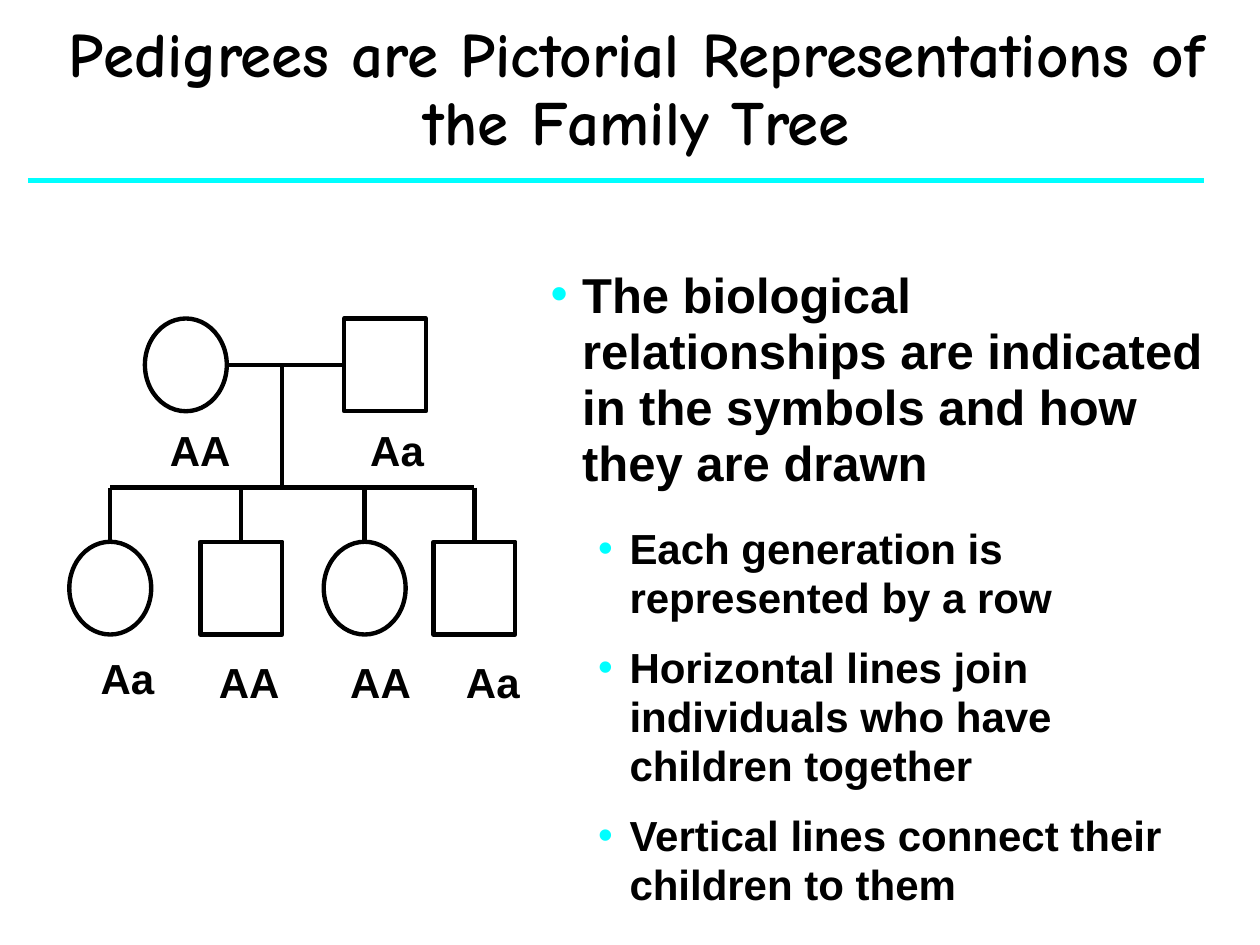
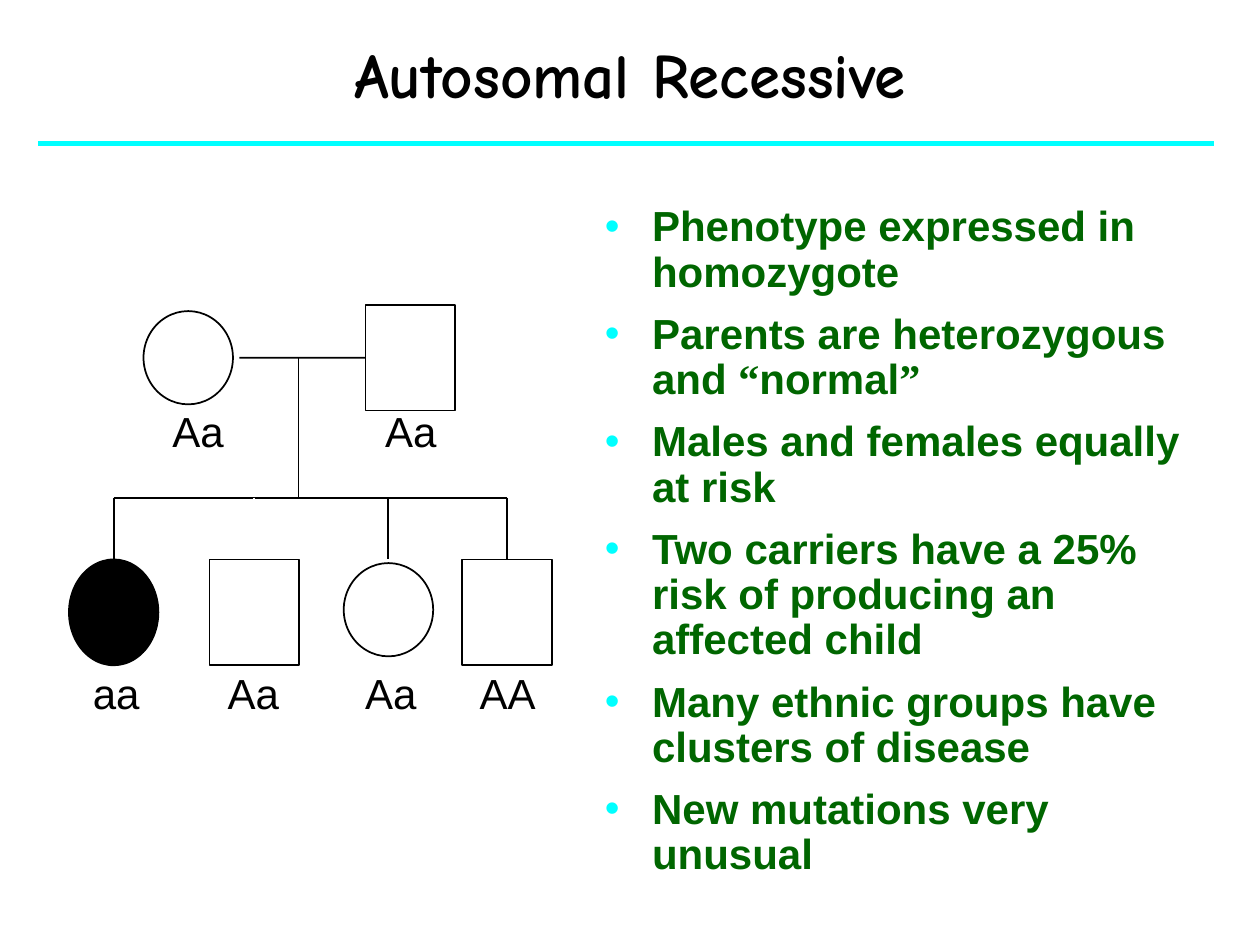
from dataclasses import dataclass

from lxml import etree
from pptx import Presentation
from pptx.dml.color import RGBColor
from pptx.enum.shapes import MSO_CONNECTOR, MSO_SHAPE
from pptx.enum.text import MSO_ANCHOR, MSO_AUTO_SIZE, PP_ALIGN
from pptx.oxml.ns import qn
from pptx.util import Pt

OVAL, BOX = MSO_SHAPE.OVAL, MSO_SHAPE.RECTANGLE
STRAIGHT = MSO_CONNECTOR.STRAIGHT
TOP, MIDDLE = MSO_ANCHOR.TOP, MSO_ANCHOR.MIDDLE
CENTER, LEFT = PP_ALIGN.CENTER, PP_ALIGN.LEFT
FIXED = MSO_AUTO_SIZE.NONE
TOP_SITE, LEFT_SITE = 0, 1


@dataclass(frozen=True)
class Theme:
    ink: str = "000000"
    paper: str = "FFFFFF"
    accent: str = "00FFFF"
    green: str = "006600"
    head_font: str = "Comic Neue"
    font: str = "Arial"
    quote_font: str = "Times New Roman"
    head: int = 36
    lead: int = 28
    text: int = 24
    rule: int = 3


@dataclass
class Person:
    kind: int
    x: float
    y: float
    gene: str
    tag_x: float
    tag_y: float
    tag_w: float
    h: float
    fill: str = ""
    drop: str = "000000"


@dataclass
class Family:
    """Parents, children and the lines between them."""
    pair: list
    kids: list
    width: float
    line: float
    bold: bool
    mate_x: float
    mate_y: float
    stem_x: float
    bar_y: float
    kid_y: float


T = Theme()


def color(code):
    return RGBColor.from_string(code)


def add_run(para, text, size, ink=T.ink, font=T.font, bold=True):
    run = para.add_run()
    run.text = text
    run.font.name = font
    run.font.size = Pt(size)
    run.font.bold = bold
    run.font.color.rgb = color(ink)


def place(shape, x, y, w, h):
    shape.left, shape.top, shape.width, shape.height = map(Pt, (x, y, w, h))


def add_title(slide, text, area, anchor, spacing):
    title = slide.shapes.title
    place(title, *area)
    frame = title.text_frame
    frame.auto_size = FIXED
    frame.vertical_anchor = anchor
    para = frame.paragraphs[0]
    para.alignment = CENTER
    para.line_spacing = spacing
    add_run(para, text, T.head, font=T.head_font)


def add_line(slide, x1, y1, x2, y2, width, ink=T.ink):
    line = slide.shapes.add_connector(STRAIGHT, *map(Pt, (x1, y1, x2, y2)))
    line.line.color.rgb = color(ink)
    line.line.width = Pt(width)
    etree.SubElement(line._element.spPr, qn("a:effectLst"))
    return line


def add_rule(slide, x, y):
    add_line(slide, x, y, x + 672, y, T.rule, T.accent)


def set_bullet(para, margin, hang):
    props = para._p.get_or_add_pPr()
    props.set("marL", str(Pt(margin)))
    props.set("indent", str(-Pt(hang)))
    tint = etree.SubElement(props, qn("a:buClr"))
    etree.SubElement(tint, qn("a:srgbClr"), val=T.accent)
    etree.SubElement(props, qn("a:buFont"), typeface=T.font)
    etree.SubElement(props, qn("a:buChar"), char="•")


def get_body(slide, area):
    body = slide.placeholders[1]
    place(body, *area)
    frame = body.text_frame
    frame.auto_size = FIXED
    frame.vertical_anchor = TOP
    return frame


def add_item(frame, first, margin, hang, spacing, before, after, level=0):
    para = frame.paragraphs[0] if first else frame.add_paragraph()
    para.level = level
    set_bullet(para, margin, hang)
    para.alignment = LEFT
    para.line_spacing = spacing
    para.space_before = Pt(0 if first else before)
    para.space_after = Pt(after)
    return para


def add_person(slide, one, family):
    shape = slide.shapes.add_shape(
        one.kind, *map(Pt, (one.x, one.y, family.width, one.h)))
    shape.shadow.inherit = False
    if one.fill:
        shape.fill.solid()
        shape.fill.fore_color.rgb = color(one.fill)
    else:
        shape.fill.background()
    shape.line.color.rgb = color(T.ink)
    shape.line.width = Pt(family.line)
    return shape


def add_tag(slide, one, bold):
    tag = slide.shapes.add_textbox(
        *map(Pt, (one.tag_x, one.tag_y, one.tag_w, 36)))
    tag.text_frame.word_wrap = False
    add_run(tag.text_frame.paragraphs[0], one.gene, T.text, bold=bold)


def add_family(slide, family):
    shapes = [add_person(slide, one, family)
              for one in family.pair + family.kids]
    father = family.pair[1]
    mate = add_line(slide, family.mate_x, family.mate_y,
                    father.x, family.mate_y, family.line)
    mate.end_connect(shapes[1], LEFT_SITE)
    add_line(slide, family.stem_x, family.mate_y,
             family.stem_x, family.bar_y, family.line)
    mids = [kid.x + family.width / 2 for kid in family.kids]
    add_line(slide, mids[0], family.bar_y, mids[-1], family.bar_y, family.line)
    for kid, mid, shape in zip(family.kids, mids, shapes[2:]):
        drop = add_line(slide, mid, family.bar_y, mid, family.kid_y,
                        family.line, kid.drop)
        if kid.kind == BOX:
            drop.end_connect(shape, TOP_SITE)
    for one in family.pair + family.kids:
        add_tag(slide, one, family.bold)


def build_tree(slide):
    add_title(slide, "Pedigrees are Pictorial Representations of "
              "the Family Tree", (14.4, 9.4, 699, 85), TOP, 0.9)
    add_rule(slide, 16, 103)
    frame = get_body(slide, (307.5, 149, 391, 374.4))
    lead = add_item(frame, True, 18, 18, Pt(32), 0, 7)
    add_run(lead, "The biological relationships are indicated in the "
            "symbols and how they are drawn", T.lead)
    for text in ("Each generation is represented by a row",
                 "Horizontal lines join individuals who have "
                 "children together",
                 "Vertical lines connect their children to them"):
        add_run(add_item(frame, False, 45, 18, Pt(28), 12, 0, 1), text, T.text)
    high = 53
    add_family(slide, Family(
        pair=[Person(OVAL, 82.8, 182, "AA", 90, 239, 49, high),
              Person(BOX, 196.6, 182, "Aa", 204.5, 239, 45.4, high)],
        kids=[Person(OVAL, 39.6, 309.6, "Aa", 50.4, 369.4, 45.4, high),
              Person(BOX, 114.5, 309.6, "AA", 118, 371.5, 49, high, T.paper),
              Person(OVAL, 185, 309.6, "AA", 193, 371.5, 49, high, T.paper),
              Person(BOX, 247.7, 309.6, "Aa", 259.2, 371.5, 45.4, high)],
        width=46.8, line=2.5, bold=True, mate_x=130, mate_y=208.5,
        stem_x=161.3, bar_y=278.6, kid_y=309.6))


def build_recessive(slide):
    add_title(slide, "Autosomal Recessive", (54, -2.9, 612, 90), MIDDLE, 1.0)
    add_rule(slide, 21.6, 82)
    frame = get_body(slide, (338.4, 113.8, 350.6, 396))
    items = (
        [("Phenotype expressed in homozygote", T.font)],
        [("Parents are heterozygous and ", T.font), ("“", T.quote_font),
         ("normal", T.font), ("”", T.quote_font)],
        [("Males and females equally at risk", T.font)],
        [("Two carriers have a 25% risk of producing an affected child",
          T.font)],
        [("Many ethnic groups have clusters of disease", T.font)],
        [("New mutations very unusual", T.font)],
    )
    for i, runs in enumerate(items):
        para = add_item(frame, i == 0, 27, 27, 0.9, 0, 9.6)
        for text, font in runs:
            add_run(para, text, T.text, T.green, font)
    tall, short = 60.5, 53.3
    add_family(slide, Family(
        pair=[Person(OVAL, 82, 177.8, "Aa", 91.4, 228.2, 43.9, short),
              Person(BOX, 208.8, 174.2, "Aa", 213, 228.2, 43.9, tall)],
        kids=[Person(OVAL, 39.4, 319.7, "aa", 46, 378, 41, tall, T.ink),
              Person(BOX, 119.7, 319.7, "Aa", 123, 378, 43.9, tall,
                     drop=T.paper),
              Person(OVAL, 196.4, 321.8, "Aa", 201.6, 378, 43.9, short),
              Person(BOX, 264.2, 319.7, "AA", 267, 378, 46.8, tall)],
        width=51.1, line=1, bold=False, mate_x=136.8, mate_y=204.5,
        stem_x=170.6, bar_y=284.4, kid_y=319.7))


def main():
    deck = Presentation()
    deck.slide_width, deck.slide_height = Pt(720), Pt(540)
    layout = deck.slide_layouts[1]
    for build in (build_tree, build_recessive):
        build(deck.slides.add_slide(layout))
    deck.save("out.pptx")


if __name__ == "__main__":
    main()
